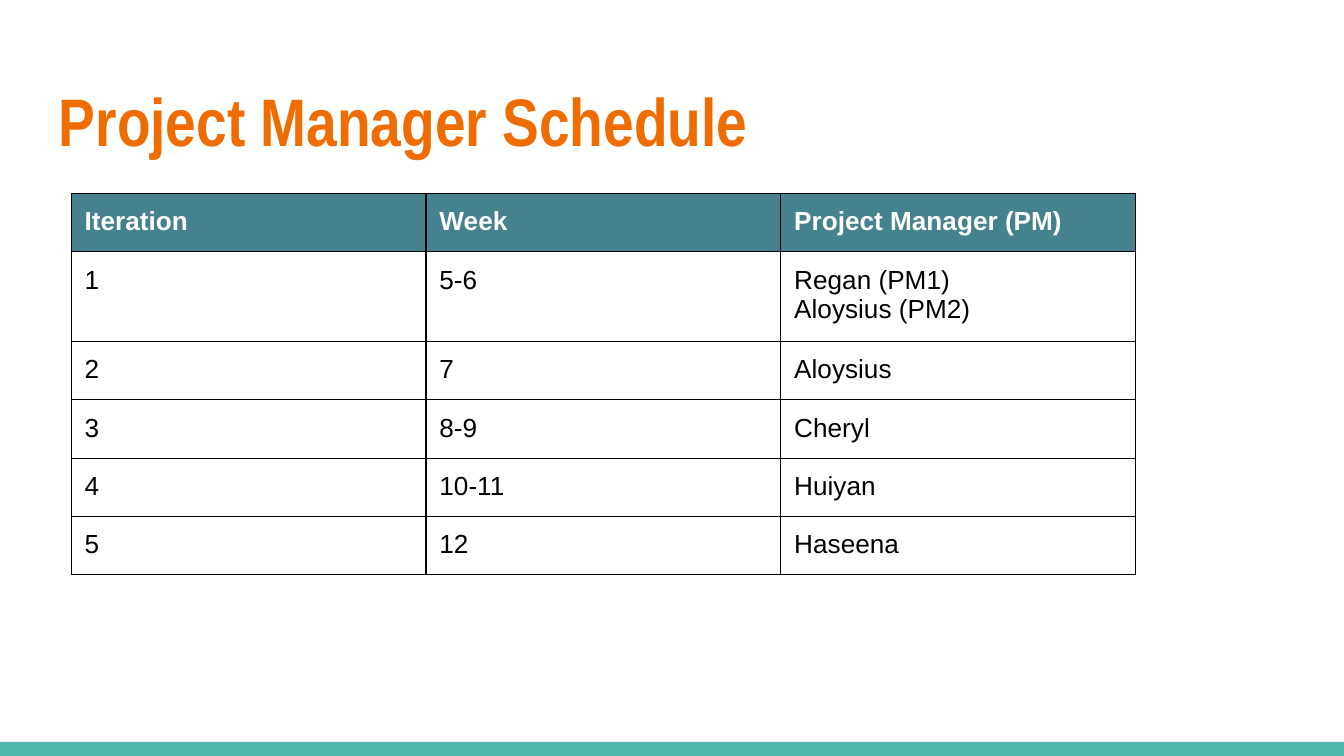
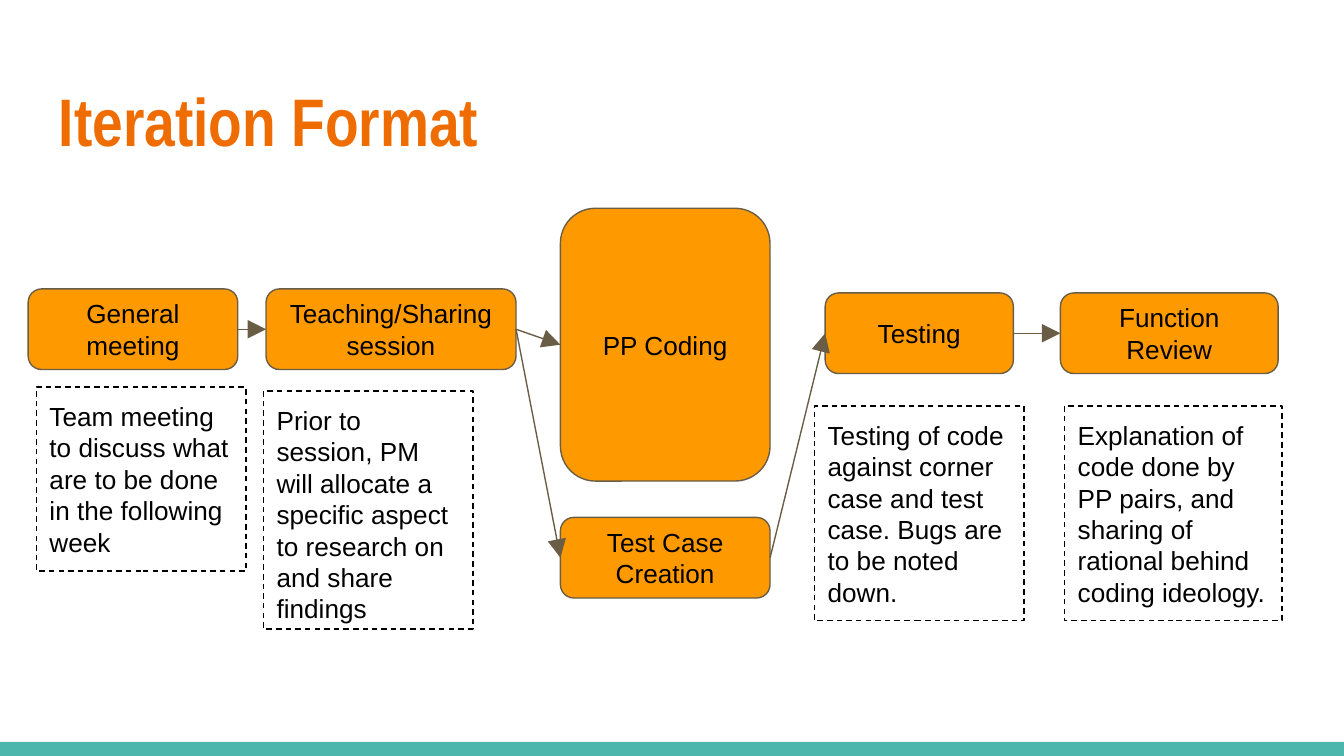
from lxml import etree
from pptx import Presentation
from pptx import util as u
from pptx.dml.color import RGBColor
from pptx.enum import dml, shapes, text
from pptx.oxml import ns

SCALE = 9144  # EMU in one px, at 100 px to the inch
WIDTH = 1000
INSET = 10
LINE_WIDTH = u.Pt(0.75)
BODY_FONT, TITLE_FONT = "Arial", "Arial Narrow"

WHITE, BLACK = "FFFFFF", "000000"
TITLE_ORANGE, STEP_ORANGE = "EF6C00", "FF9900"
FOOTER_TEAL, HEADER_TEAL = "4DB6AC", "45818E"
BROWN = "695D46"

TOP, LEFT, BOTTOM, RIGHT = range(4)

SCHEDULE = [
    ("Iteration", "Week", "Project Manager (PM)"),
    ("1", "5-6", "Regan (PM1)\nAloysius (PM2)"),
    ("2", "7", "Aloysius"),
    ("3", "8-9", "Cheryl"),
    ("4", "10-11", "Huiyan"),
    ("5", "12", "Haseena"),
]

STEPS = {
    "General meeting": (21, 215, 156, 60),
    "Teaching/Sharing session": (198, 215, 186, 60),
    "PP Coding": (417, 155, 156, 203),
    "Test Case Creation": (417, 385, 156, 60),
    "Testing": (614, 218, 140, 60),
    "Function Review": (789, 218, 162, 60),
}

ARROWS = [
    ("General meeting", "Teaching/Sharing session"),
    ("Teaching/Sharing session", "PP Coding"),
    ("Teaching/Sharing session", "Test Case Creation"),
    ("Test Case Creation", "Testing"),
    ("Testing", "Function Review"),
]

NOTES = [
    ("Team meeting to discuss what are to be done in the following week",
     (27, 288, 156, 137)),
    ("Prior to session, PM will allocate a specific aspect to research on "
     "and share findings", (196, 291, 156, 177)),
    ("Testing of code against corner case and test case. Bugs are to be "
     "noted down.", (606, 302, 156, 160)),
    ("Explanation of code done by PP pairs, and sharing of rational behind "
     "coding ideology.", (792, 302, 162, 160)),
]


def px(length):
    return u.Emu(length * SCALE)


def color(value):
    return RGBColor.from_string(value)


def place(box):
    return [px(length) for length in box]


def set_insets(owner):
    """Give a text frame or a table cell the same margin on each side."""
    owner.margin_left = owner.margin_right = px(INSET)
    owner.margin_top = owner.margin_bottom = px(INSET)


def write(frame, words, size=14, font=BODY_FONT, ink=BLACK, bold=False,
          align=text.PP_ALIGN.LEFT):
    """Fill a text frame with one paragraph for each line of words."""
    for index, line in enumerate(words.split("\n")):
        para = frame.add_paragraph() if index else frame.paragraphs[0]
        para.alignment = align
        para.line_spacing = 1.0
        span = para.add_run()
        span.text = line
        span.font.name = font
        span.font.size = u.Pt(size)
        span.font.bold = bold
        span.font.color.rgb = color(ink)


def add_box(slide, kind, box, fill=None, line=None):
    shape = slide.shapes.add_shape(kind, *place(box))
    shape.shadow.inherit = False
    if fill:
        shape.fill.solid()
        shape.fill.fore_color.rgb = color(fill)
    else:
        shape.fill.background()
    if line:
        shape.line.color.rgb = color(line)
        shape.line.width = LINE_WIDTH
    else:
        shape.line.fill.background()
    frame = shape.text_frame
    frame.word_wrap = True
    set_insets(frame)
    return shape


def add_slide(deck, title):
    """Add a slide with the footer band and the title all slides share."""
    slide = deck.slides.add_slide(deck.slide_layouts[6])
    slide.background.fill.solid()
    slide.background.fill.fore_color.rgb = color(WHITE)
    add_box(slide, shapes.MSO_SHAPE.RECTANGLE, (0, 552, WIDTH, 11), FOOTER_TEAL)
    frame = slide.shapes.add_textbox(*place((34, 49, 932, 77))).text_frame
    frame.word_wrap = True
    set_insets(frame)
    write(frame, title, 36, TITLE_FONT, TITLE_ORANGE, bold=True)
    return slide


def add_borders(cell):
    properties = cell._tc.get_or_add_tcPr()
    for side in ("a:lnL", "a:lnR", "a:lnT", "a:lnB"):
        border = etree.SubElement(properties, ns.qn(side), w=str(int(LINE_WIDTH)))
        fill = etree.SubElement(border, ns.qn("a:solidFill"))
        etree.SubElement(fill, ns.qn("a:srgbClr"), val=BLACK)


def add_schedule(slide, box):
    rows, columns = len(SCHEDULE), len(SCHEDULE[0])
    table = slide.shapes.add_table(rows, columns, *place(box)).table
    table.first_row = table.horz_banding = False
    for row_index, entries in enumerate(SCHEDULE):
        header = row_index == 0
        for column_index, words in enumerate(entries):
            cell = table.cell(row_index, column_index)
            set_insets(cell)
            add_borders(cell)
            if header:
                cell.fill.solid()
                cell.fill.fore_color.rgb = color(HEADER_TEAL)
            else:
                cell.fill.background()
            write(cell.text_frame, words, ink=WHITE if header else BLACK,
                  bold=header)


def add_step(slide, words, box):
    kind = shapes.MSO_SHAPE.FLOWCHART_ALTERNATE_PROCESS
    step = add_box(slide, kind, box, STEP_ORANGE, BROWN)
    step.text_frame.vertical_anchor = text.MSO_ANCHOR.MIDDLE
    write(step.text_frame, words, align=text.PP_ALIGN.CENTER)
    return step


def add_note(slide, words, box):
    note = add_box(slide, shapes.MSO_SHAPE.RECTANGLE, box, line=BLACK)
    note.line.dash_style = dml.MSO_LINE.DASH
    note.text_frame.vertical_anchor = text.MSO_ANCHOR.TOP
    write(note.text_frame, words)


def add_arrow(slide, source, target):
    """Join the right side of one step to the left side of the next."""
    arrow = slide.shapes.add_connector(shapes.MSO_CONNECTOR.STRAIGHT, 0, 0, 0, 0)
    arrow.begin_connect(source, RIGHT)
    arrow.end_connect(target, LEFT)
    arrow.line.color.rgb = color(BROWN)
    arrow.line.width = LINE_WIDTH
    etree.SubElement(arrow.line._get_or_add_ln(), ns.qn("a:tailEnd"),
                     type="triangle", w="lg", len="lg")
    etree.SubElement(arrow._element.spPr, ns.qn("a:effectLst"))


def build_schedule_slide(deck):
    slide = add_slide(deck, "Project Manager Schedule")
    add_schedule(slide, (53, 144, 792, 252))


def build_iteration_slide(deck):
    slide = add_slide(deck, "Iteration Format")
    steps = {words: add_step(slide, words, box) for words, box in STEPS.items()}
    for source, target in ARROWS:
        add_arrow(slide, steps[source], steps[target])
    for words, box in NOTES:
        add_note(slide, words, box)


def main():
    deck = Presentation()
    deck.slide_width = px(WIDTH)
    deck.slide_height = u.Emu(deck.slide_width * 9 // 16)
    build_schedule_slide(deck)
    build_iteration_slide(deck)
    deck.save("out.pptx")


if __name__ == "__main__":
    main()
